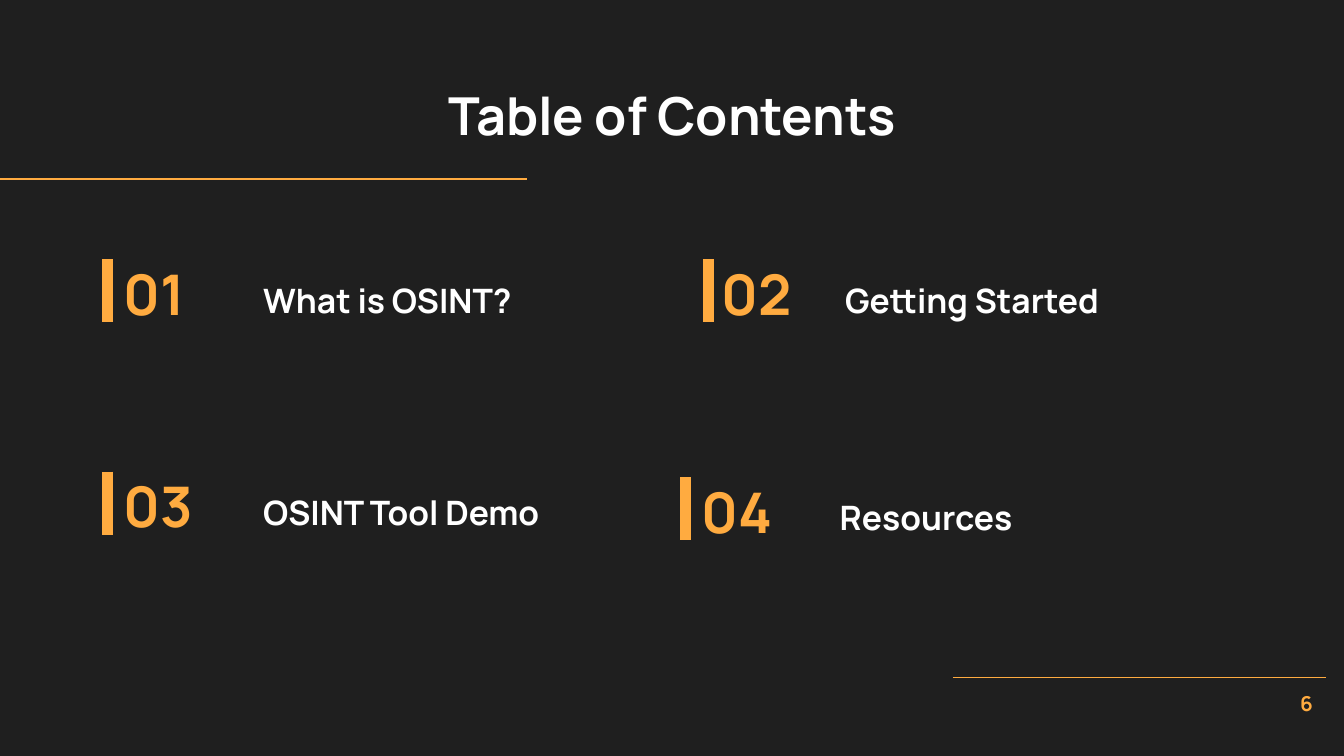
from lxml import etree
from pptx import Presentation
from pptx import util as u
from pptx.dml.color import RGBColor
from pptx.enum import shapes, text
from pptx.oxml.ns import qn

ORANGE = "FFAB40"
WHITE = "FFFFFF"
LEFT, CENTER, RIGHT = text.PP_ALIGN.LEFT, text.PP_ALIGN.CENTER, text.PP_ALIGN.RIGHT
TOP, BOTTOM = text.MSO_ANCHOR.TOP, text.MSO_ANCHOR.BOTTOM
LABEL_WIDTH = 233.28


def paint(color_format, value):
    color_format.rgb = RGBColor.from_string(value)


def write(shape, words, size, color, align=LEFT, anchor=TOP, inset=7.2):
    frame = shape.text_frame
    frame.word_wrap = True
    frame.auto_size = text.MSO_AUTO_SIZE.NONE
    frame.vertical_anchor = anchor
    frame.margin_left = u.Pt(inset)
    frame.margin_top = frame.margin_right = frame.margin_bottom = u.Pt(7.2)
    para = frame.paragraphs[0]
    para.alignment = align
    span = para.add_run()
    span.text = words
    span.font.name = "Manrope"
    span.font.size = u.Pt(size)
    span.font.bold = True
    paint(span.font.color, color)


def add_text(page, box, words, size, color, **layout):
    shape = page.shapes.add_textbox(*map(u.Pt, box))
    write(shape, words, size, color, **layout)


def add_line(page, x1, y1, x2, y2, weight):
    line = page.shapes.add_connector(
        shapes.MSO_CONNECTOR.STRAIGHT, *map(u.Pt, (x1, y1, x2, y2)))
    paint(line.line.color, ORANGE)
    line.line.width = u.Pt(weight)
    properties = line._element.find(qn("p:spPr"))
    etree.SubElement(properties, qn("a:effectLst"))


def add_header(page, box):
    left, top, width, height = box
    title = page.shapes.title
    title.left, title.top = u.Pt(left), u.Pt(top)
    title.width, title.height = u.Pt(width), u.Pt(height)
    write(title, "Table of Contents", 28, WHITE, align=CENTER)
    rule = top + height + 13
    add_line(page, -1.44, rule, 282.24, rule, 0.75)


def add_footer(page, box, number):
    left, top, width, height = box
    add_line(page, left, top, left + width, top, 0.75)
    add_text(page, (left + width - 46, top, 46, height), number, 11, ORANGE,
             align=RIGHT)


def add_item(page, box, number, label, number_shift, label_shift):
    left, top, width, height = box
    add_text(page, (left + number_shift, top, label_shift - number_shift, height),
             number, 30, ORANGE, inset=0)
    add_text(page, (left + label_shift, top + 5, width - label_shift, height - 5),
             label, 18, WHITE, anchor=BOTTOM)
    add_line(page, left, top + 7.2, left, top + 41, 6)


def main():
    deck = Presentation()
    deck.slide_width, deck.slide_height = u.Pt(720), u.Pt(405)
    page = deck.slides.add_slide(deck.slide_layouts[5])
    page.background.fill.solid()
    paint(page.background.fill.fore_color, "1F1F1F")

    add_header(page, (116, 37.5, 488, 45.36))
    items = [
        ("01", "What is OSINT?", 57.6, 131.76, 8.64, 76.32),
        ("02", "Getting Started", 379.44, 131.76, 7.2, 66.24),
        ("03", "OSINT Tool Demo", 57.6, 245.52, 8.64, 76.32),
        ("04", "Resources", 367.2, 248.4, 8.64, 75.6),
    ]
    for number, label, left, top, number_shift, label_shift in items:
        box = (left, top, label_shift + LABEL_WIDTH, 46.8)
        add_item(page, box, number, label, number_shift, label_shift)
    add_footer(page, (510.5, 362.88, 200, 31), "6")
    deck.save("out.pptx")


if __name__ == "__main__":
    main()
